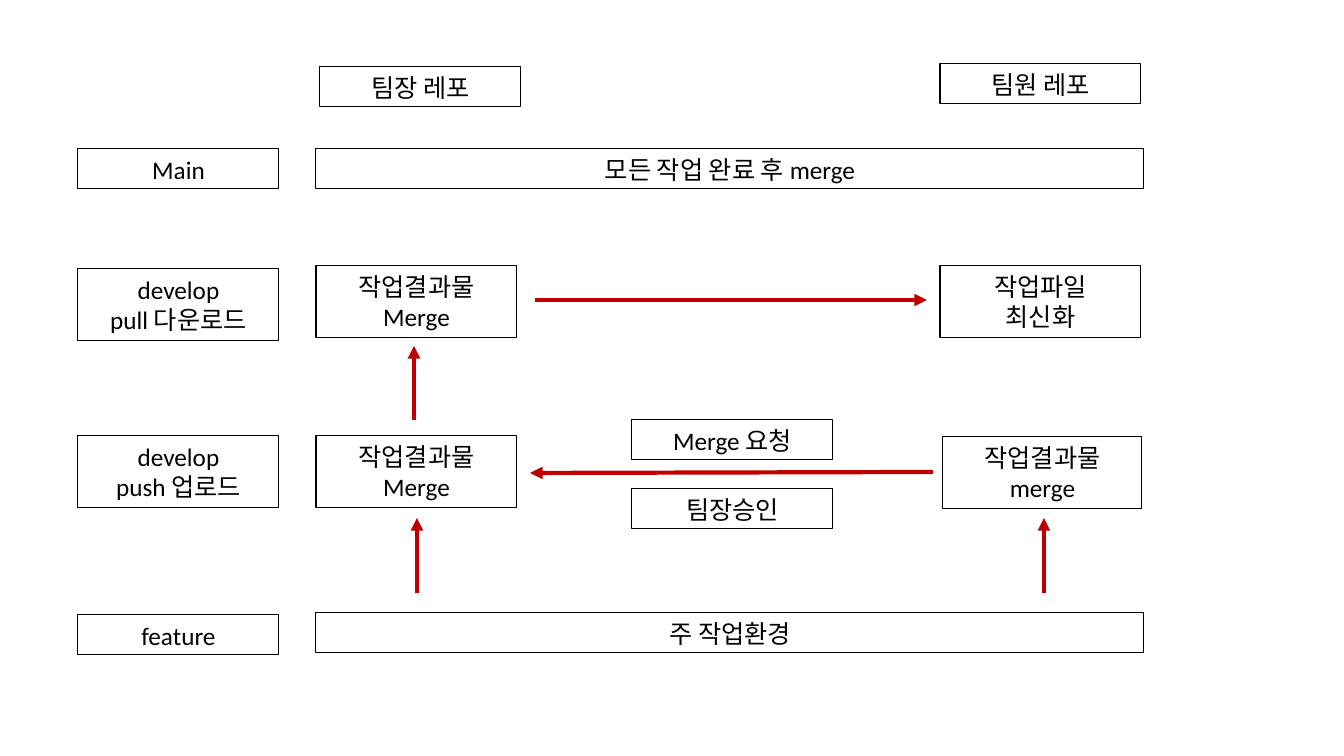
from pptx import Presentation
from pptx.dml.color import RGBColor
from pptx.enum.shapes import MSO_CONNECTOR
from pptx.enum.text import MSO_AUTO_SIZE, PP_ALIGN
from pptx.oxml.ns import qn
from pptx.util import Pt
from lxml.etree import SubElement

SCALE = 914400 / 100.8
LOW, HIGH = 40, 72
SIDE, LEAD, MATE, MID = 78, 316, 940, 632
NARROW, WIDE = 201, 828
FRAME = {"word_wrap": True, "auto_size": MSO_AUTO_SIZE.SHAPE_TO_FIT_TEXT}
FONT = {"name": "Calibri", "size": Pt(18)}

BOXES = [
    ("팀장 레포", 320, 67, NARROW, LOW),
    ("팀원 레포", MATE, 64, NARROW, LOW),
    ("Main", SIDE, 149, NARROW, LOW),
    ("모든 작업 완료 후 merge", LEAD, 149, WIDE, LOW),
    ("develop\npull 다운로드", SIDE, 269, NARROW, HIGH),
    ("작업결과물 Merge", LEAD, 266, NARROW, HIGH),
    ("작업파일\n최신화", MATE, 266, NARROW, HIGH),
    ("develop\npush 업로드", SIDE, 436, NARROW, HIGH),
    ("작업결과물 Merge", LEAD, 436, NARROW, HIGH),
    ("Merge 요청", MID, 420, NARROW, LOW),
    ("팀장승인", MID, 489, NARROW, LOW),
    ("작업결과물\nmerge", 943, 437, 199, HIGH),
    ("feature", SIDE, 615, NARROW, LOW),
    ("주 작업환경", LEAD, 613, WIDE, LOW),
]
ARROWS = [
    (417, 593, 417, 518),
    (1044, 593, 1044, 518),
    (933, 472, 530, 473),
    (414, 420, 414, 346),
    (535, 300, 927, 300),
]


def emu(*sizes):
    return [round(size * SCALE) for size in sizes]


def color(code):
    return RGBColor.from_string(code)


def style(item, values):
    for key, value in values.items():
        setattr(item, key, value)


def stroke(shape, code, width):
    shape.line.color.rgb = color(code)
    shape.line.width = Pt(width)


def add_box(slide, text, *place):
    box = slide.shapes.add_textbox(*emu(*place))
    stroke(box, "000000", 0.75)
    frame = box.text_frame
    style(frame, FRAME)
    frame.text = text
    for para in frame.paragraphs:
        para.alignment = PP_ALIGN.CENTER
        for run in para.runs:
            style(run.font, FONT)
            run.font.color.rgb = color("000000")


def add_arrow(slide, *ends):
    arrow = slide.shapes.add_connector(MSO_CONNECTOR.STRAIGHT, *emu(*ends))
    stroke(arrow, "C00000", 3)
    SubElement(arrow.line._get_or_add_ln(), qn("a:tailEnd"), type="triangle")
    SubElement(arrow._element.spPr, qn("a:effectLst"))


def main():
    deck = Presentation()
    deck.slide_width, deck.slide_height = emu(1344, 756)
    slide = deck.slides.add_slide(deck.slide_layouts[6])
    for box in BOXES:
        add_box(slide, *box)
    for arrow in ARROWS:
        add_arrow(slide, *arrow)
    deck.save("out.pptx")


main()
